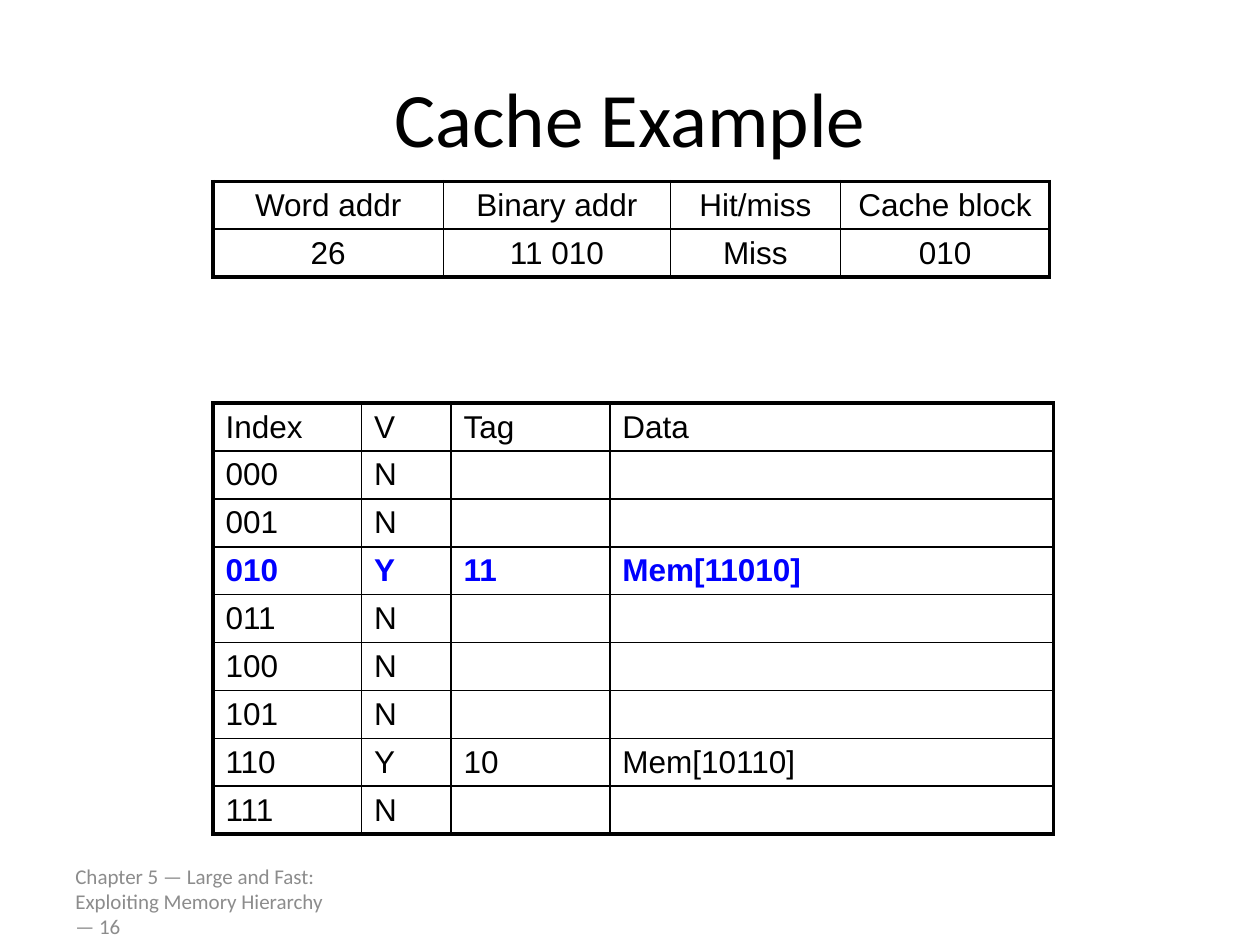
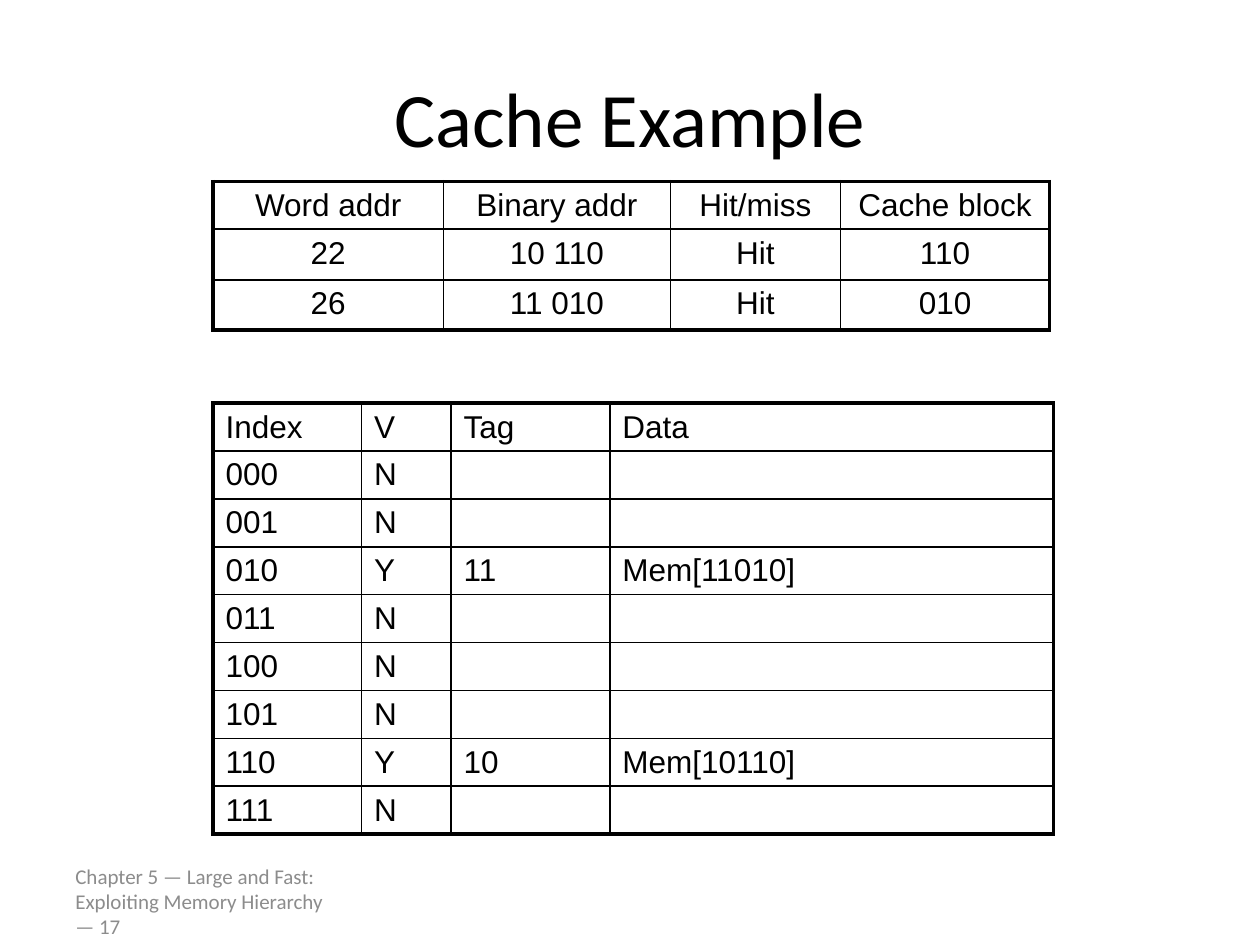
from lxml import etree
from pptx import Presentation
from pptx import util as u
from pptx.dml.color import RGBColor
from pptx.enum import text
from pptx.oxml.ns import qn

COLORS = {"ink": "000000", "highlight": "0000FF", "footer": "8C8C8C"}
FORMATS = {
    "title": {"name": "Calibri", "size": u.Pt(44)},
    "footer": {"name": "Calibri", "size": u.Pt(12)},
    "cell": {"name": "Arial", "size": u.Pt(18)},
}
MARGINS = {"margin_left": 0.1, "margin_right": 0.1, "margin_top": 0.05, "margin_bottom": 0.02}
OUTER, HEADER, INNER = 2.25, 1.5, 1

TITLE = "Cache Example"
FOOTER = "Chapter 5 — Large and Fast: Exploiting Memory Hierarchy — {}"
ADDRESS_HEADER = ("Word addr", "Binary addr", "Hit/miss", "Cache block")
CACHE_HEADER = ("Index", "V", "Tag", "Data")
FILLED_BLOCKS = {"010": "11", "110": "10"}
ADDRESS_COLUMNS = (1.83, 1.8, 1.35, 1.66)
CACHE_COLUMNS = (1.18, 0.71, 1.26, 3.52)
TABLE_LEFT, ADDRESS_TOP, CACHE_TOP = 1.69, 1.44, 3.2
ROW_HEIGHT, TALL_ROW_HEIGHT = 0.38, 0.4

SLIDES = [
    {"number": 16, "updated": "010", "row_height": ROW_HEIGHT,
     "accesses": [("26", "11 010", "Miss", "010")]},
    {"number": 17, "updated": None, "row_height": TALL_ROW_HEIGHT,
     "accesses": [("22", "10 110", "Hit", "110"), ("26", "11 010", "Hit", "010")]},
]


def write(paragraph, words, style, color="ink", bold=False, align=None):
    paragraph.alignment = align
    run = paragraph.add_run()
    run.text = words
    for name, value in {**FORMATS[style], "bold": bold}.items():
        setattr(run.font, name, value)
    run.font.color.rgb = RGBColor.from_string(COLORS[color])


def add_text(slide, box, words, style, color="ink", align=None):
    frame = slide.shapes.add_textbox(*map(u.Inches, box)).text_frame
    frame.word_wrap = True
    frame.vertical_anchor = text.MSO_ANCHOR.MIDDLE
    write(frame.paragraphs[0], words, style, color, align=align)


def set_borders(cell, widths):
    properties = cell._tc.get_or_add_tcPr()
    for position, (side, width) in enumerate(widths.items()):
        line = etree.Element(qn(f"a:ln{side}"), w=str(u.Pt(width)))
        fill = etree.SubElement(line, qn("a:solidFill"))
        etree.SubElement(fill, qn("a:srgbClr"), val=COLORS["ink"])
        properties.insert(position, line)


def rule_widths(count, after_header, inner):
    return [OUTER, after_header] + [inner] * (count - 2) + [OUTER]


def add_grid(slide, top, columns, rows, heights, row_rule, align=None, updated=None):
    size = (sum(columns), sum(heights))
    frame = slide.shapes.add_table(len(rows), len(columns),
                                   *map(u.Inches, (TABLE_LEFT, top, *size)))
    table = frame.table
    table.first_row = table.horz_banding = False
    for column, width in zip(table.columns, columns):
        column.width = u.Inches(width)
    across = rule_widths(len(rows), HEADER, row_rule)
    down = rule_widths(len(columns), INNER, INNER)
    for r, (values, height) in enumerate(zip(rows, heights)):
        table.rows[r].height = u.Inches(height)
        changed = values[0] == updated
        for c, value in enumerate(values):
            cell = table.cell(r, c)
            cell.fill.background()
            for name, margin in MARGINS.items():
                setattr(cell, name, u.Inches(margin))
            set_borders(cell, {"L": down[c], "R": down[c + 1],
                               "T": across[r], "B": across[r + 1]})
            if value:
                write(cell.text_frame.paragraphs[0], value, "cell",
                      "highlight" if changed else "ink", changed, align)


def cache_rows():
    rows = [CACHE_HEADER]
    for block in range(8):
        index = f"{block:03b}"
        tag = FILLED_BLOCKS.get(index)
        rows.append((index, "Y", tag, f"Mem[{tag}{index}]") if tag else (index, "N", "", ""))
    return rows


def add_slide(presentation, content):
    slide = presentation.slides.add_slide(presentation.slide_layouts[6])
    center = text.PP_ALIGN.CENTER
    add_text(slide, (0.5, 6.95, 2.33, 0.4), FOOTER.format(content["number"]), "footer", "footer")
    add_text(slide, (0.5, 0.3, 9, 1.25), TITLE, "title", align=center)
    rows = cache_rows()
    add_grid(slide, CACHE_TOP, CACHE_COLUMNS, rows, [ROW_HEIGHT] * len(rows), INNER,
             updated=content["updated"])
    accesses = content["accesses"]
    heights = [ROW_HEIGHT] + [content["row_height"]] * len(accesses)
    add_grid(slide, ADDRESS_TOP, ADDRESS_COLUMNS, [ADDRESS_HEADER] + accesses, heights,
             HEADER, align=center)


def main():
    presentation = Presentation()
    presentation.slide_width, presentation.slide_height = u.Inches(10), u.Inches(7.5)
    for content in SLIDES:
        add_slide(presentation, content)
    presentation.save("out.pptx")


if __name__ == "__main__":
    main()
